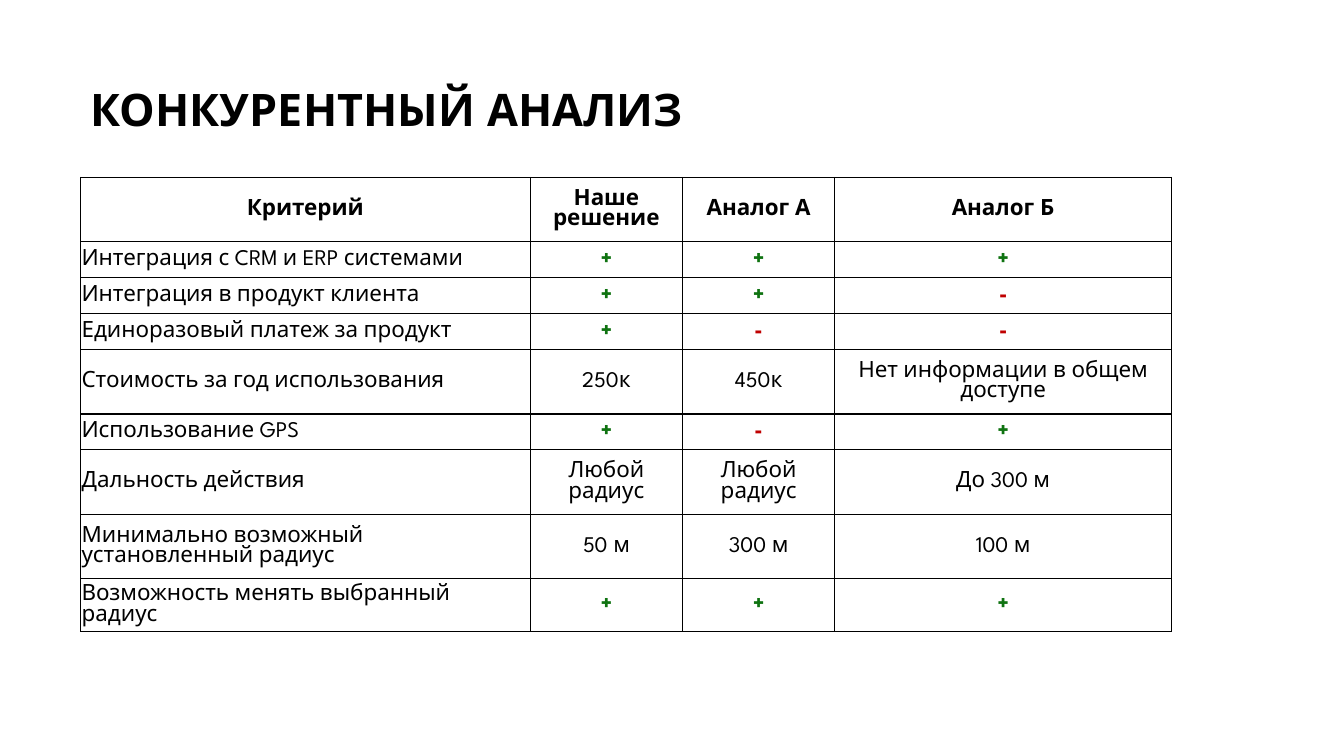
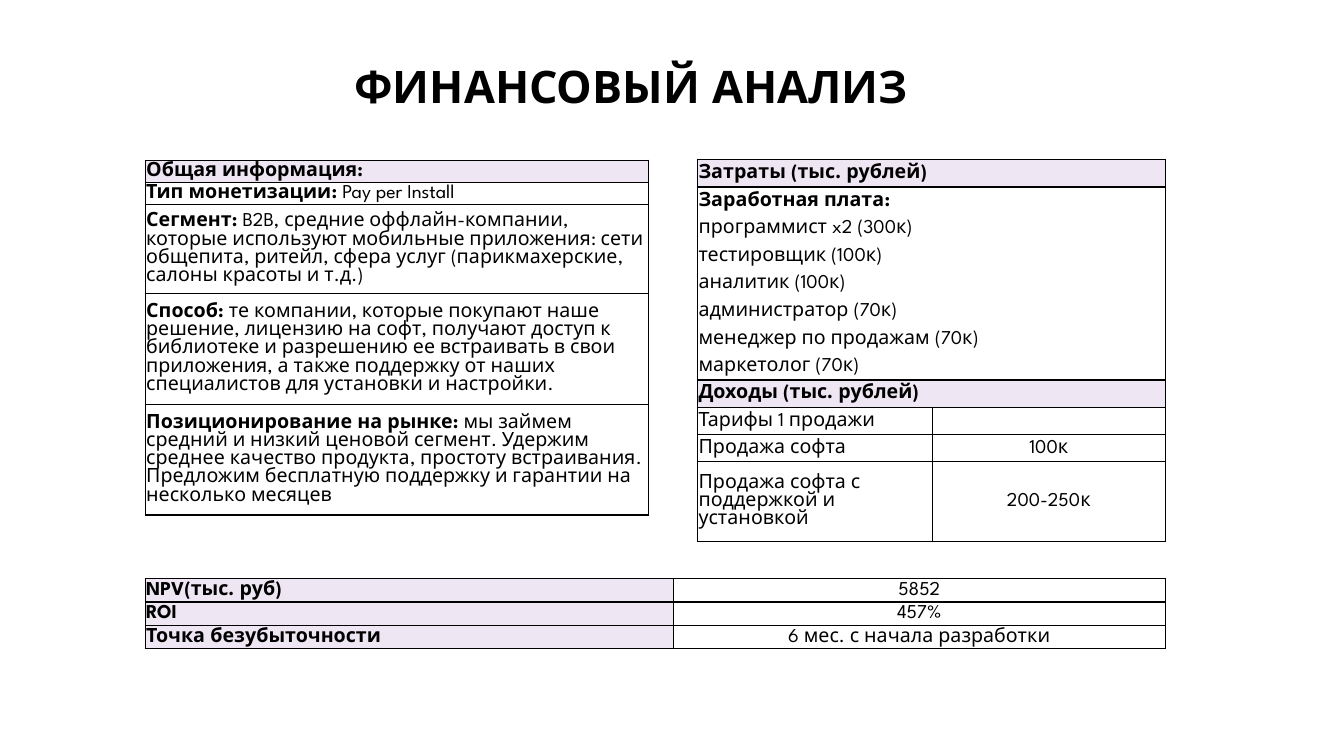
from dataclasses import dataclass

from lxml.etree import SubElement
from pptx import Presentation
from pptx.dml.color import RGBColor
from pptx.enum.text import MSO_ANCHOR as Anchor, MSO_AUTO_SIZE as AutoSize, PP_ALIGN as Align
from pptx.oxml.ns import qn
from pptx.slide import Slide
from pptx.table import _Cell as TableCell
from pptx.util import Emu, Inches, Pt

# Shared look
FONT = "League Spartan"
BLACK = RGBColor(0x00, 0x00, 0x00)
WHITE = RGBColor(0xFF, 0xFF, 0xFF)
GREEN = RGBColor(0x0F, 0x73, 0x11)
RED = RGBColor(0xC0, 0x00, 0x00)
LILAC = RGBColor(0xEE, 0xE6, 0xF3)
MARKS = {"+": GREEN, "-": RED}
WIDTH, HEIGHT = Inches(13.33), Inches(7.5)
TITLE_WIDTH, TITLE_HEIGHT = 85.67, 23.6
TITLE_ONLY = 5
SIDES = {"l": "a:lnL", "r": "a:lnR", "t": "a:lnT", "b": "a:lnB"}


@dataclass(frozen=True)
class Cell:
    """Cell text: a bold lead, then plain text; sides lists the ruled edges."""
    text: str = ""
    lead: str = ""
    colour: RGBColor = BLACK
    align: Align = Align.LEFT
    fill: RGBColor | None = WHITE
    sides: str = "ltrb"


@dataclass(frozen=True)
class Grid:
    """Table with places, columns and rows in percent of the slide."""
    left: float
    top: float
    columns: list[float]
    rows: list[float]
    cells: list[list[Cell]]
    size: int = 14


def across(percent: float) -> Emu:
    return Emu(round(WIDTH * percent / 100))


def down(percent: float) -> Emu:
    return Emu(round(HEIGHT * percent / 100))


def add_span(para, text: str, size: int, bold: bool, colour: RGBColor = BLACK) -> None:
    span = para.add_run()
    span.text = text
    span.font.name = FONT
    span.font.size = Pt(size)
    span.font.bold = bold
    span.font.color.rgb = colour


def add_page(deck, title: str, left: float, top: float, align: Align) -> Slide:
    page = deck.slides.add_slide(deck.slide_layouts[TITLE_ONLY])
    box = page.shapes.title
    box.left, box.top = across(left), down(top)
    box.width, box.height = across(TITLE_WIDTH), down(TITLE_HEIGHT)
    frame = box.text_frame
    frame.word_wrap = True
    frame.auto_size = AutoSize.NONE
    frame.vertical_anchor = Anchor.MIDDLE
    para = frame.paragraphs[0]
    para.alignment = align
    para.line_spacing = 0.9
    add_span(para, title, 32, True)
    return page


def rule_cell(target: TableCell, sides: str) -> None:
    properties = target._tc.get_or_add_tcPr()
    for side, tag in SIDES.items():
        line = SubElement(properties, qn(tag), w=str(Pt(1)))
        if side in sides:
            paint = SubElement(line, qn("a:solidFill"))
            SubElement(paint, qn("a:srgbClr"), val=str(BLACK))
        else:
            SubElement(line, qn("a:noFill"))


def fill_cell(target: TableCell, cell: Cell, size: int) -> None:
    target.margin_left = target.margin_right = target.margin_top = Inches(0.01)
    target.margin_bottom = 0
    target.vertical_anchor = Anchor.MIDDLE
    rule_cell(target, cell.sides)
    if cell.fill is None:
        target.fill.background()
    else:
        target.fill.solid()
        target.fill.fore_color.rgb = cell.fill
    para = target.text_frame.paragraphs[0]
    para.alignment = cell.align
    if cell.lead:
        add_span(para, cell.lead, size, True, cell.colour)
    if cell.text:
        add_span(para, cell.text, size, False, cell.colour)
    if not (cell.lead or cell.text):
        # An empty cell keeps the text size, so its row does not grow
        SubElement(para._p, qn("a:endParaRPr"), sz=str(size * 100))


def add_grid(page: Slide, grid: Grid) -> None:
    table = page.shapes.add_table(
        len(grid.rows), len(grid.columns), across(grid.left), down(grid.top),
        across(sum(grid.columns)), down(sum(grid.rows))).table
    table.first_row = table.horz_banding = False
    for column, width in zip(table.columns, grid.columns):
        column.width = across(width)
    for row, height, cells in zip(table.rows, grid.rows, grid.cells):
        row.height = down(height)
        for target, cell in zip(row.cells, cells):
            fill_cell(target, cell, grid.size)


def heading(text: str = "", sides: str = "ltrb") -> Cell:
    return Cell(lead=text, fill=LILAC, sides=sides)


def value(text: str) -> Cell:
    return Cell(text, align=Align.CENTER)


# Competitor table
CRITERIA = [
    ("Интеграция с CRM и ERP системами", "+", "+", "+"),
    ("Интеграция в продукт клиента", "+", "+", "-"),
    ("Единоразовый платеж за продукт", "+", "-", "-"),
    ("Стоимость за год использования", "250к", "450к", "Нет информации в общем доступе"),
    ("Использование GPS", "+", "-", "+"),
    ("Дальность действия", "Любой радиус", "Любой радиус", "До 300 м"),
    ("Минимально возможный установленный радиус", "50 м", "300 м", "100 м"),
    ("Возможность менять выбранный радиус", "+", "+", "+"),
]


def rating(text: str) -> Cell:
    if text in MARKS:
        return Cell(lead=text, colour=MARKS[text], align=Align.CENTER, fill=None)
    return Cell(text, align=Align.CENTER, fill=None)


def competitor_grid() -> Grid:
    single, double, last = 4.75, 8.53, 6.93
    names = ["Критерий", "Наше решение", "Аналог А", "Аналог Б"]
    header = [Cell(lead=name, align=Align.CENTER, fill=None) for name in names]
    body = [[Cell(criterion, fill=None), *map(rating, ratings)]
            for criterion, *ratings in CRITERIA]
    rows = [double, *[single] * 3, double, single, double, double, last]
    return Grid(6, 23.47, [33.46, 11.33, 11.33, 25.06], rows, [header, *body], 16)


# Financial tables
STAFF = ["программист x2 (300к)", "тестировщик (100к)", "аналитик (100к)",
         "администратор (70к)", "менеджер по продажам (70к)", "маркетолог (70к)"]
SUMMARY = [
    ("Тип монетизации: ", "Pay per Install"),
    ("Сегмент: ",
     "B2B, средние оффлайн-компании, которые используют мобильные приложения: "
     "сети общепита, ритейл, сфера услуг (парикмахерские, салоны красоты и т.д.)"),
    ("Способ: ",
     "те компании, которые покупают наше решение, лицензию на софт, получают доступ "
     "к библиотеке и разрешению ее встраивать в свои приложения, а также поддержку "
     "от наших специалистов для установки и настройки."),
    ("Позиционирование на рынке: ",
     "мы займем средний и низкий ценовой сегмент. Удержим среднее качество продукта, "
     "простоту встраивания. Предложим бесплатную поддержку и гарантии "
     "на несколько месяцев"),
]
INCOME = [("Тарифы 1 продажи", ""), ("Продажа софта", "100к"),
          ("Продажа софта с поддержкой и установкой", "200-250к")]
RESULTS = [("NPV(тыс. руб)", "5852"), ("ROI", "457%"),
           ("Точка безубыточности", "6 мес. с начала разработки")]


def financial_grids() -> list[Grid]:
    left, right = 10.8, 51.9
    costs = [[heading("Затраты (тыс. рублей)")],
             [Cell(lead="Заработная плата:", sides="ltr")],
             *[[Cell(person, sides="lr")] for person in STAFF[:-1]],
             [Cell(STAFF[-1], sides="lrb")]]
    income = [[heading("Доходы (тыс. рублей)", "ltb"), heading(sides="trb")],
              *[[Cell(item), value(price)] for item, price in INCOME]]
    summary = [[heading("Общая информация:")],
               *[[Cell(text, lead)] for lead, text in SUMMARY]]
    results = [[heading(name), value(figure)] for name, figure in RESULTS]
    return [
        Grid(right, 21.07, [34.8], [3.66] * len(costs), costs),
        Grid(right, 50.27, [17.48, 17.32], [3.6, 3.6, 3.6, 10.53], income),
        Grid(left, 21.2, [37.43], [2.93, 2.93, 11.73, 14.67, 14.67], summary),
        Grid(left, 76.53, [39.3, 36.6], [3.1] * len(results), results),
    ]


def main() -> None:
    deck = Presentation()
    deck.slide_width, deck.slide_height = WIDTH, HEIGHT

    # Competitors
    page = add_page(deck, "КОНКУРЕНТНЫЙ АНАЛИЗ", 6, 3.07, Align.LEFT)
    add_grid(page, competitor_grid())

    # Finances
    page = add_page(deck, "ФИНАНСОВЫЙ АНАЛИЗ", 4.13, 0, Align.CENTER)
    for grid in financial_grids():
        add_grid(page, grid)

    deck.save("out.pptx")


if __name__ == "__main__":
    main()
